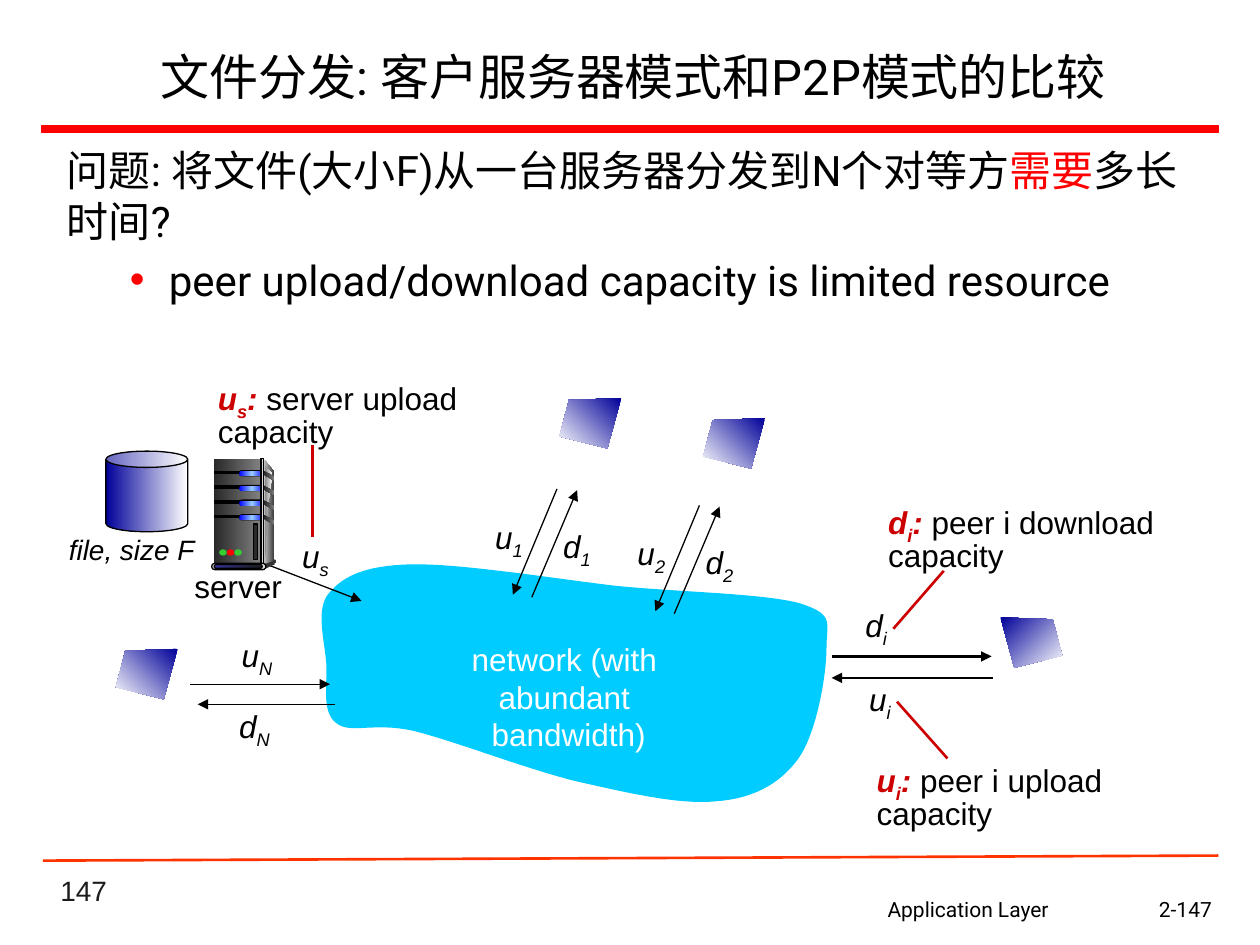
from copy import deepcopy
from lxml.etree import SubElement
from pptx import Presentation
from pptx.dml.color import RGBColor
from pptx.enum.shapes import MSO_CONNECTOR, MSO_SHAPE
from pptx.enum.text import MSO_ANCHOR, MSO_AUTO_SIZE, PP_ALIGN
from pptx.oxml.ns import qn
from pptx.util import Pt

CENTER = PP_ALIGN.CENTER
NAVY = ("000099", "FFFFFF")
METAL = ("292929", "808080")


def rgb(value):
    return RGBColor.from_string(value)


def paint(sp, fill, line=None, angle=0):
    sp.shadow.inherit = False
    if isinstance(fill, str):
        sp.fill.solid()
        sp.fill.fore_color.rgb = rgb(fill)
    else:
        sp.fill.gradient()
        sp.fill.gradient_angle = angle
        if len(fill) == 3:
            gs_list = sp._element.spPr.find(qn("a:gradFill")).find(qn("a:gsLst"))
            gs_list.insert(1, deepcopy(gs_list[0]))
        for i, (stop, color) in enumerate(zip(sp.fill.gradient_stops, fill)):
            stop.color.rgb = rgb(color)
            stop.position = i / (len(fill) - 1)
    if line:
        sp.line.color.rgb = rgb(line)
        sp.line.width = Pt(0.75)
    else:
        sp.line.fill.background()


def add_preset(s, kind, x, y, w, h, fill, line=None, adj=None):
    sp = s.shapes.add_shape(kind, Pt(x), Pt(y), Pt(w), Pt(h))
    if adj is not None:
        sp.adjustments[0] = adj
    paint(sp, fill, line)
    return sp


def add_outline(s, x, y, points, fill, angle=0):
    points = [(Pt(x + px), Pt(y + py)) for px, py in points]
    fb = s.shapes.build_freeform(*points[0])
    fb.add_line_segments(points[1:], close=True)
    paint(fb.convert_to_shape(), fill, angle=angle)


def add_line(s, x1, y1, x2, y2, color="000000", width=0.75, arrow=True):
    cn = s.shapes.add_connector(MSO_CONNECTOR.STRAIGHT, Pt(x1), Pt(y1), Pt(x2), Pt(y2))
    cn.line.color.rgb = rgb(color)
    cn.line.width = Pt(width)
    if arrow:
        SubElement(cn.line._get_or_add_ln(), qn("a:tailEnd"), type="triangle")
    SubElement(cn._element.spPr, qn("a:effectLst"))


def add_run(p, text, size, color="000000", font="Arial", bold=False, italic=False, sub=False):
    r = p.add_run()
    r.text = text
    r.font.size = Pt(size)
    r.font.name = font
    r.font.bold = bold
    r.font.italic = italic
    r.font.color.rgb = rgb(color)
    if sub:
        r._r.get_or_add_rPr().set("baseline", "-25000")


def add_box(s, x, y, w, h, wrap=True):
    tf = s.shapes.add_textbox(Pt(x), Pt(y), Pt(w), Pt(h)).text_frame
    tf.word_wrap = wrap
    return tf


def add_text(s, x, y, w, h, text, size=18, align=None, color="000000", font="Arial", italic=False):
    tf = add_box(s, x, y, w, h, wrap=False)
    for i, line in enumerate(text.split("\n")):
        p = tf.add_paragraph() if i else tf.paragraphs[0]
        p.alignment = align
        add_run(p, line, size, color, font, italic=italic)
    return tf


def add_rate(s, x, y, name, index):
    p = add_box(s, x, y, 48, 29).paragraphs[0]
    add_run(p, name, 18, italic=True)
    add_run(p, index, 18, italic=True, sub=True)


def add_legend(s, x, y, w, name, index, text):
    p = add_box(s, x, y, w, 44).paragraphs[0]
    p.line_spacing = 0.85
    for part, sub in ((name, False), (index, True), (":", False)):
        add_run(p, part, 18, "CC0000", bold=True, italic=True, sub=sub)
    add_run(p, text, 18)


def place(sp, x, y, w, h):
    sp.left, sp.top, sp.width, sp.height = Pt(x), Pt(y), Pt(w), Pt(h)
    sp.text_frame.auto_size = MSO_AUTO_SIZE.NONE
    sp.text_frame.word_wrap = True
    return sp.text_frame


def add_heading(s, x, y, w, h):
    tf = place(s.shapes.title, x, y, w, h)
    tf.vertical_anchor = MSO_ANCHOR.MIDDLE
    p = tf.paragraphs[0]
    p.alignment = CENTER
    add_run(p, "文件分发: 客户服务器模式和P2P模式的比较", 28, font="Roboto")
    add_preset(s, MSO_SHAPE.RECTANGLE, 23.8, 72, 672.5, 3.6, "FF0000", "FF0000")


def add_question(s, x, y, w, h):
    tf = place(s.placeholders[1], x, y, w, h)
    tf.vertical_anchor = MSO_ANCHOR.TOP
    p = tf.paragraphs[0]
    pPr = p._p.get_or_add_pPr()
    pPr.set("marL", "0")
    pPr.set("indent", "0")
    SubElement(pPr, qn("a:buNone"))
    p.space_before = Pt(0)
    for text, color in (("问题: 将文件(大小F)从一台服务器分发到N个对等方", "000000"),
                        ("需要", "FF0000"), ("多长时间?", "000000")):
        add_run(p, text, 24, color, "Roboto")
    p = tf.add_paragraph()
    p.level = 1
    pPr = p._p.get_or_add_pPr()
    pPr.set("marL", str(Pt(58.3)))
    pPr.set("indent", str(-Pt(22.3)))
    SubElement(SubElement(pPr, qn("a:buClr")), qn("a:srgbClr"), val="FF0000")
    SubElement(pPr, qn("a:buChar"), char="•")
    p.space_before = Pt(4.8)
    add_run(p, "peer upload/download capacity is limited resource", 24, font="Roboto")


def bezier(a, b, c, d, steps=16):
    for i in range(1, steps + 1):
        t = i / steps
        u = 1 - t
        yield tuple(u**3 * m + 3 * u * u * t * n + 3 * u * t * t * o + t**3 * q
                    for m, n, o, q in zip(a, b, c, d))


def add_network(s, x, y):
    knots = [(54.7, 0.7), (27.4, 1.4), (15.8, 7.9), (7.9, 17.3),
             (0, 26.6), (5.8, 45.4), (6.5, 57.6), (7.2, 69.8), (3.6, 85), (12.2, 91.4),
             (20.2, 97.9), (33.1, 90.7), (56.2, 95.8), (79.2, 101.5), (120.2, 117.4), (149, 124.6),
             (177.8, 131), (207.4, 138.2), (229, 136.1), (249.8, 134.6), (265, 126.7), (275.8, 112.3),
             (286.6, 97.9), (292.3, 64.1), (292.3, 49), (292.3, 33.8), (297.4, 29.5), (277.2, 23),
             (257, 17.3), (208.8, 16.6), (172.1, 13), (135.4, 8.6), (82.1, 0), (54.7, 0.7)]
    points = [knots[0]]
    for i in range(0, len(knots) - 1, 3):
        points.extend(bezier(*knots[i:i + 4]))
    add_outline(s, x, y, points, "00CCFF")
    add_text(s, x + 42.5, y + 40.3, 200, 50.4, "network (with abundant\n bandwidth)", 18, CENTER, "FFFFFF")


def add_server(s, x, y):
    def part(kind, px, py, w, h, fill, line=None, adj=None):
        add_preset(s, kind, x + px, y + py, w, h, fill, line, adj)

    rect, pill, dot = MSO_SHAPE.RECTANGLE, MSO_SHAPE.ROUNDED_RECTANGLE, MSO_SHAPE.OVAL
    add_outline(s, x, y, [(30.2, 0.7), (36, 7.9), (36, 58.3), (28.8, 60.5)], ("DDDDDD", "333333"))
    part(rect, 1.4, 0, 26.6, 60.5, METAL)
    add_outline(s, x, y, [(30.2, 4.3), (34.6, 8.6), (31.7, 30), (30.2, 60)], ("808080", "F8F8F8"))
    for row in range(4):
        top = 7.2 + 8.4 * row
        part(rect, 1.4, top, 15.1, 1.4, "000000", "000000")
        part(pill, 15.5, top - 0.7, 15.1, 3.6, "000000", adj=0.5)
        part(pill, 15.8, top, 14.4, 2.9, ("0000FF", "99CCFF", "0000FF"), adj=0.5)
        add_outline(s, x, y + top, [(30, 0), (36, 3.2), (36, 5.4), (30, 2.2)], METAL)
    part(rect, 28.1, 0, 1.4, 60.5, ("333333", "DDDDDD", "333333"), "000000")
    part(dot, 35.3, 57.6, 1.4, 2.2, "333333")
    add_outline(s, x, y, [(29.5, 60.5), (29.5, 63.4), (36, 60.5), (36, 58.3)], "333333")
    part(pill, 0, 59.8, 31, 3.6, "DDDDDD", "000000", 0.5)
    part(pill, 1.4, 60.5, 27.4, 2.2, ("333399", "1C1C1C"), "000000", 0.5)
    for i, color in enumerate(("33CC33", "FF0000", "33CC33")):
        part(dot, 4.3 + 4.3 * i, 51.8, 4.3, 3.6, color)
    part(rect, 23.8, 37.4, 2.2, 20.2, "292929", "000000")
    add_text(s, x - 31, y + 58.3, 92.2, 29, "server", 18, CENTER)


def add_file(s, x, y):
    add_preset(s, MSO_SHAPE.CAN, x, y, 46.8, 46.1, NAVY, "000000", 0.202)
    add_text(s, x - 40.3, y + 43.2, 110.2, 26.6, "file, size F", 16, CENTER, italic=True)


def add_peer(s, x, y, flip=False):
    points = [(35.3, 0), (5.4, 1.1), (0, 21.9), (27.4, 28.8)]
    if flip:
        points = [(35.3 - px, py) for px, py in points]
    add_outline(s, x, y, points, NAVY, 315 if flip else 225)


def add_peer_link(s, x, y, index):
    add_rate(s, x, y + 13, "u", index)
    add_line(s, x + 42.5, y, x + 17.3, y + 60.5)
    add_line(s, x + 28.1, y + 61.9, x + 54, y + 0.7)
    add_rate(s, x + 38.9, y + 18, "d", index)


def add_side_links(s):
    add_line(s, 143.3, 319, 206.6, 343.4)
    add_rate(s, 165.6, 303.1, "u", "s")
    add_line(s, 108.7, 391, 188.6, 391)
    add_line(s, 191.5, 402.5, 113, 402.5)
    add_rate(s, 131, 360, "u", "N")
    add_rate(s, 129.6, 400.3, "d", "N")
    add_line(s, 475.2, 375.1, 566.6, 375.1, width=1.5)
    add_line(s, 567.4, 387.4, 475.2, 387.4, width=1.5)
    add_rate(s, 487.4, 342.7, "d", "i")
    add_rate(s, 489.6, 385.2, "u", "i")


def add_legends(s):
    add_legend(s, 117.4, 214.6, 158.4, "u", "s", " server upload capacity")
    add_legend(s, 493.9, 432.7, 160, "u", "i", " peer i upload capacity")
    add_legend(s, 500.4, 285.1, 167, "d", "i", " peer i download capacity")
    for ends in ((178.6, 254.2, 178.6, 306.7), (539.3, 326.2, 510.5, 359.3), (541.4, 433.4, 512.6, 401)):
        add_line(s, *ends, color="CC0000", width=1.5, arrow=False)


def add_footer(s, x, y):
    add_line(s, x, y, x + 671.8, y - 2.9, "FF3300", 1.5, False)
    tf = add_text(s, 27.4, 504, 149.8, 18, "147", 16, color="1C1C1C")
    tf.vertical_anchor = MSO_ANCHOR.BOTTOM
    add_text(s, 439.2, 509, 228.2, 22.3, "Application Layer", 12, CENTER, font="Roboto")
    add_text(s, 655.2, 509, 53.3, 21.6, "2-147", 12, font="Roboto")


def main():
    prs = Presentation()
    prs.slide_width, prs.slide_height = Pt(720), Pt(540)
    s = prs.slides.add_slide(prs.slide_layouts[1])
    add_heading(s, 25.2, 18, 673.2, 50.4)
    add_question(s, 31, 79.2, 661, 113)
    add_footer(s, 24.5, 491.8)
    add_network(s, 180, 321.8)
    add_side_links(s)
    add_file(s, 60.5, 257.8)
    add_server(s, 121, 262.1)
    for i in range(2):
        add_peer_link(s, 275.8 + 81.4 * i, 279.4 + 9.4 * i, str(i + 1))
    add_legends(s)
    for x, y, flip in ((66.2, 370.8, False), (319.7, 227.5, False), (401.8, 239, False), (571.7, 352.8, True)):
        add_peer(s, x, y, flip)
    prs.save("out.pptx")


if __name__ == "__main__":
    main()
